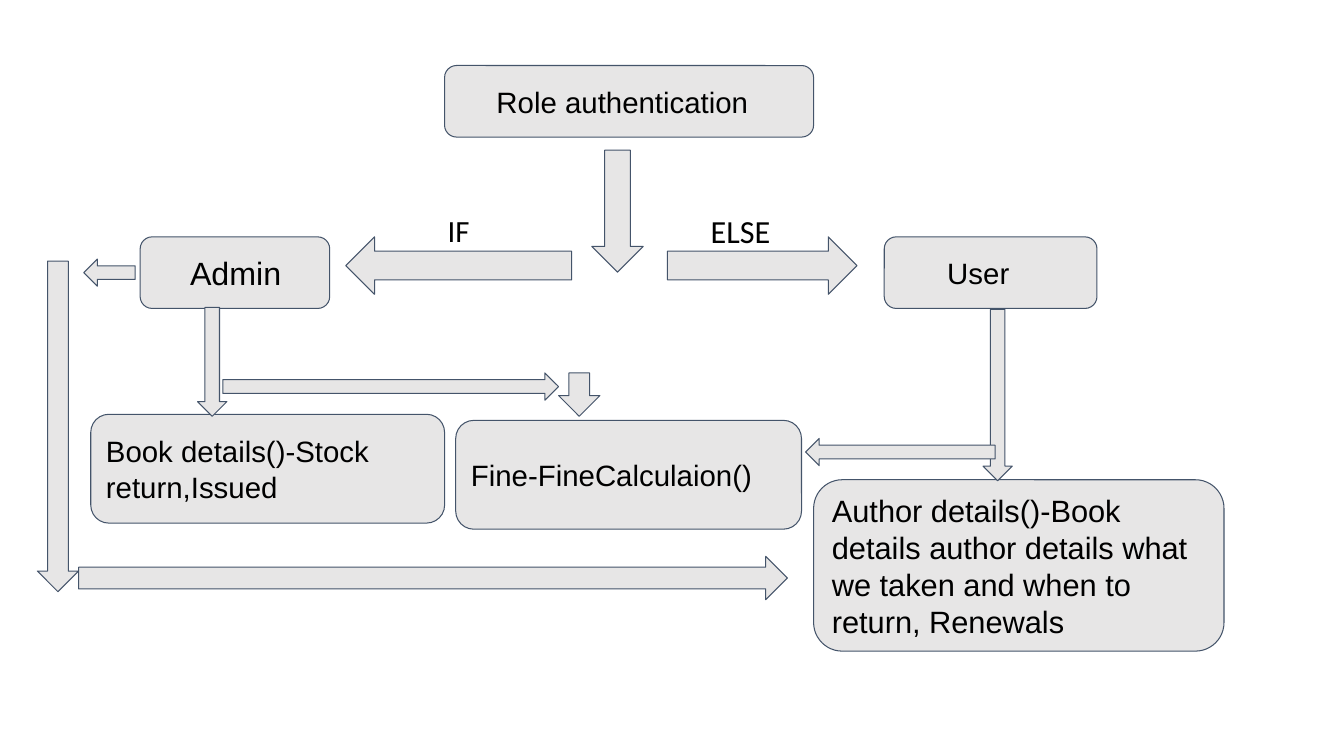
from collections import namedtuple

from pptx import Presentation
from pptx.dml.color import RGBColor
from pptx.enum.shapes import MSO_SHAPE
from pptx.enum.text import MSO_ANCHOR, PP_ALIGN
from pptx.util import Inches, Pt

COLORS = {"fill": "E7E6E6", "line": "44546A", "text": "000000"}
NODE_HEIGHT = 0.71
DETAIL_HEIGHT = 1.08
BRANCH_HEIGHT = 0.57
THIN_ARROW = 0.27
STEM_WIDTH = 0.29
WIDE_STEM = 0.41

Box = namedtuple("Box", "left top width height")


def place(region, left, top, width, height):
    return [Inches(value) for value in
            (region.left + left, region.top + top, width, height)]


def write_text(shape, text, size=21, font="Arial", indent=0.1,
               anchor=MSO_ANCHOR.MIDDLE):
    frame = shape.text_frame
    frame.word_wrap = True
    frame.vertical_anchor = anchor
    frame.margin_left = Inches(indent)
    frame.margin_right = frame.margin_top = frame.margin_bottom = Inches(0.1)
    paragraph = frame.paragraphs[0]
    paragraph.alignment = PP_ALIGN.LEFT
    run = paragraph.add_run()
    run.text = text
    run.font.size = Pt(size)
    run.font.name = font
    run.font.color.rgb = RGBColor.from_string(COLORS["text"])


def add_block(slide, kind, position):
    shape = slide.shapes.add_shape(kind, *position)
    shape.shadow.inherit = False
    shape.fill.solid()
    shape.fill.fore_color.rgb = RGBColor.from_string(COLORS["fill"])
    shape.line.color.rgb = RGBColor.from_string(COLORS["line"])
    shape.line.width = Pt(0.75)
    return shape


def add_node(slide, position, text, **text_format):
    shape = add_block(slide, MSO_SHAPE.ROUNDED_RECTANGLE, position)
    write_text(shape, text, **text_format)


def add_label(slide, position, text, **text_format):
    shape = slide.shapes.add_textbox(*position)
    write_text(shape, text, font="Calibri", anchor=MSO_ANCHOR.TOP, **text_format)


def draw_authentication(slide, region):
    branch_top = region.height - BRANCH_HEIGHT
    label_top = branch_top - 0.35
    add_node(slide, place(region, 0.98, 0, 3.66, NODE_HEIGHT),
             "Role authentication", indent=0.48)
    add_block(slide, MSO_SHAPE.DOWN_ARROW, place(region, 2.44, 0.84, 0.51, 1.21))
    add_block(slide, MSO_SHAPE.RIGHT_ARROW,
              place(region, region.width - 1.88, branch_top, 1.88, BRANCH_HEIGHT))
    add_block(slide, MSO_SHAPE.LEFT_ARROW,
              place(region, 0, branch_top, 2.24, BRANCH_HEIGHT))
    add_label(slide, place(region, 0.56, label_top, 1.55, 0.57),
              "IF", size=22, indent=0.45)
    add_label(slide, place(region, 3.52, label_top, 1.12, 0.59), "ELSE", size=23)


def draw_user(slide, region):
    add_node(slide, place(region, 4.25, 0, 2.11, NODE_HEIGHT), "User", indent=0.59)
    add_node(slide, place(region, region.width - 4.07, region.height - 1.7, 4.07, 1.7),
             "Author details()-Book details author details what we taken "
             "and when to return, Renewals", size=22)
    add_node(slide, place(region, 0, 1.82, 3.43, DETAIL_HEIGHT),
             "Fine-FineCalculaion()")
    add_block(slide, MSO_SHAPE.DOWN_ARROW, place(region, 5.23, 0.72, STEM_WIDTH, 1.7))
    add_block(slide, MSO_SHAPE.LEFT_ARROW, place(region, 3.47, 2, 1.88, THIN_ARROW))


def draw_admin(slide, region):
    add_node(slide, place(region, 1.02, 0, 1.88, NODE_HEIGHT),
             "Admin", size=23, indent=0.46)
    add_node(slide, place(region, 0.53, 1.76, 3.51, DETAIL_HEIGHT),
             "Book details()-Stock return,Issued")
    add_block(slide, MSO_SHAPE.DOWN_ARROW,
              place(region, 1.59, 0.7, STEM_WIDTH, DETAIL_HEIGHT))
    add_block(slide, MSO_SHAPE.RIGHT_ARROW, place(region, 1.84, 1.35, 3.33, THIN_ARROW))
    add_block(slide, MSO_SHAPE.DOWN_ARROW, place(region, 5.17, 1.35, WIDE_STEM, 0.43))
    add_block(slide, MSO_SHAPE.DOWN_ARROW, place(region, 0, 0.24, WIDE_STEM, 3.28))
    add_block(slide, MSO_SHAPE.RIGHT_ARROW,
              place(region, WIDE_STEM, region.height - 0.43,
                    region.width - WIDE_STEM, 0.43))
    add_block(slide, MSO_SHAPE.LEFT_ARROW, place(region, 0.46, 0.22, 0.51, THIN_ARROW))


def main():
    presentation = Presentation()
    presentation.slide_width = Inches(13.33)
    presentation.slide_height = Inches(7.5)
    slide = presentation.slides.add_slide(presentation.slide_layouts[6])
    draw_authentication(slide, Box(3.43, 0.65, 5.07, 2.27))
    draw_user(slide, Box(4.52, 2.35, 7.62, 4.11))
    draw_admin(slide, Box(0.37, 2.35, 7.44, 3.6))
    presentation.save("out.pptx")


if __name__ == "__main__":
    main()
